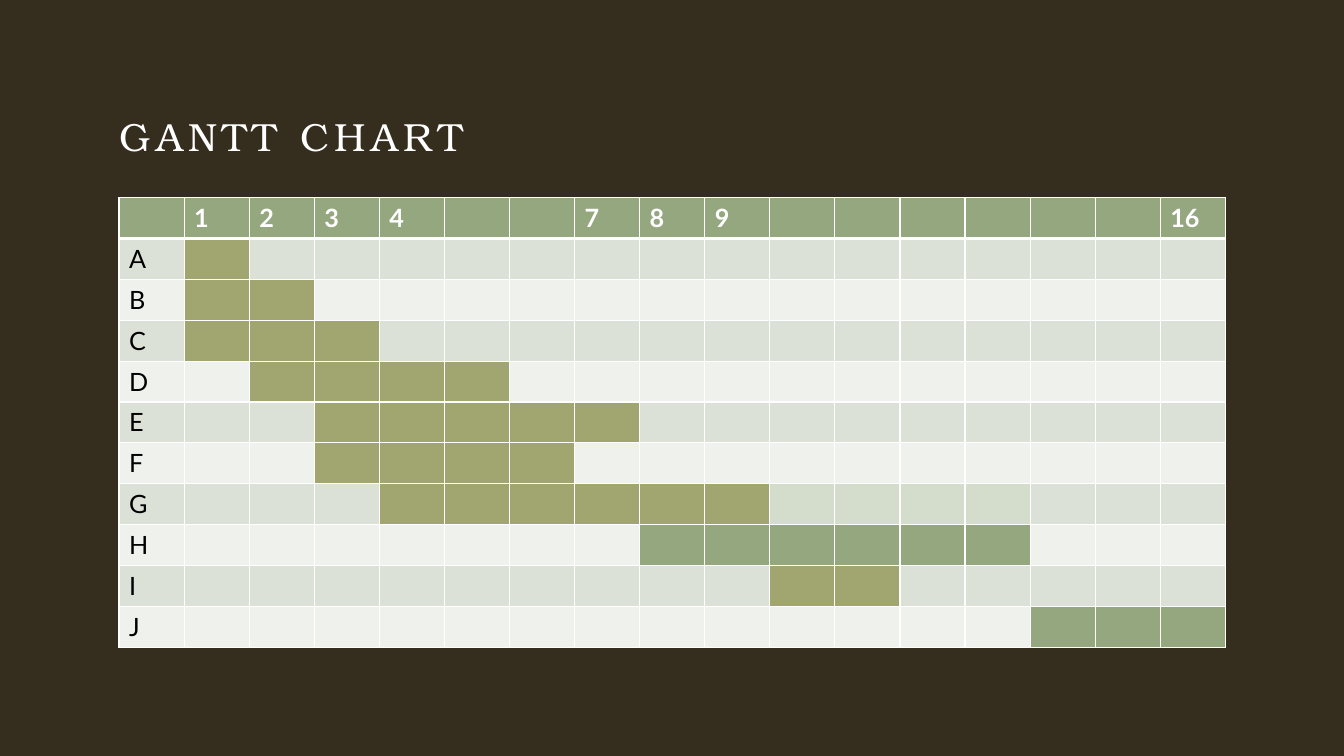
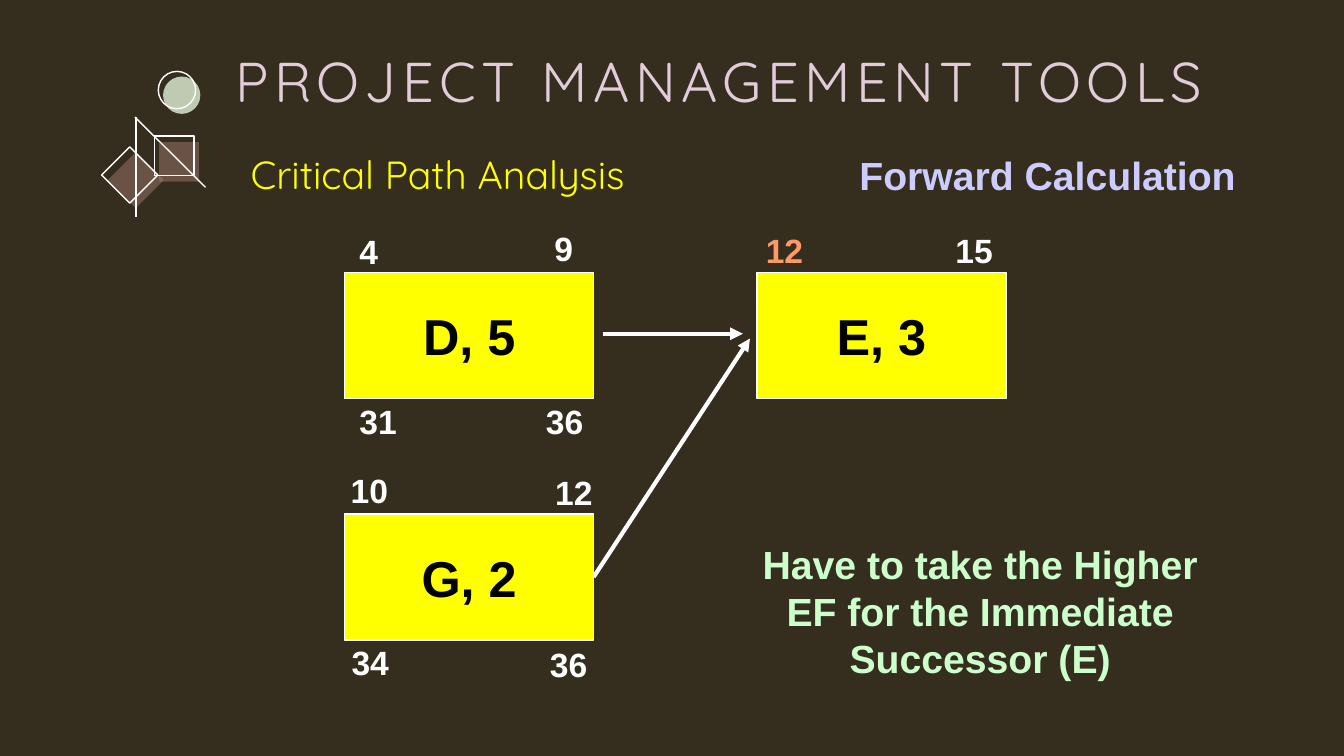
from math import cos, pi, sin

from lxml import etree
from pptx import Presentation
from pptx.dml.color import RGBColor
from pptx.enum.shapes import MSO_CONNECTOR, MSO_SHAPE
from pptx.enum.text import MSO_ANCHOR as ANCHOR, PP_ALIGN as ALIGN
from pptx.oxml import parse_xml
from pptx.oxml.ns import nsdecls, qn
from pptx.util import Cm, Pt

# Colours
BACK = RGBColor(0x35, 0x2D, 0x1E)
WHITE = RGBColor(0xFF, 0xFF, 0xFF)
BLACK = RGBColor(0x00, 0x00, 0x00)
GREEN = RGBColor(0x94, 0xA7, 0x7F)
OLIVE = RGBColor(0xA1, 0xA5, 0x70)
PALE_GREEN = RGBColor(0xD4, 0xDC, 0xCC)
BAND_DARK = RGBColor(0xDC, 0xE1, 0xD8)
BAND_LIGHT = RGBColor(0xEE, 0xF1, 0xEC)
PINK = RGBColor(0xE3, 0xCC, 0xDA)
BROWN = RGBColor(0xBA, 0x8C, 0x7F)
SAGE = RGBColor(0xBF, 0xCA, 0xB2)
YELLOW = RGBColor(0xFF, 0xFF, 0x00)
ORANGE = RGBColor(0xFF, 0x99, 0x66)
MINT = RGBColor(0xCC, 0xFF, 0xCC)
LILAC = RGBColor(0xCC, 0xCC, 0xFF)

# Text formats
HEAD = dict(name="Lato", size=Pt(18), bold=True, color=WHITE)
TASK = HEAD | dict(bold=False, color=BLACK)
NODE = dict(name="Arial", size=Pt(36), bold=True, color=BLACK)
NUMBER = NODE | dict(size=Pt(24), color=WHITE)
REMARK = NODE | dict(size=Pt(28))
SUBTITLE = dict(name="Quicksand", size=Pt(28), color=YELLOW)


def write(box, text, fmt, align=ALIGN.LEFT, wrap=True):
    tf = box.text_frame
    tf.word_wrap = wrap
    p = tf.paragraphs[0]
    p.alignment = align
    r = p.add_run()
    r.text = text
    for key, value in fmt.items():
        if key == "color":
            r.font.color.rgb = value
        else:
            setattr(r.font, key, value)
    return r


def add_line(s, x1, y1, x2, y2, width, arrow=False):
    c = s.shapes.add_connector(MSO_CONNECTOR.STRAIGHT, Cm(x1), Cm(y1), Cm(x2), Cm(y2))
    c.line.color.rgb = WHITE
    c.line.width = Pt(width)
    if arrow:
        etree.SubElement(c.line._get_or_add_ln(), qn("a:tailEnd"), type="triangle")
    etree.SubElement(c._element.spPr, qn("a:effectLst"))
    return c


prs = Presentation()
prs.slide_width, prs.slide_height = Cm(33.87), Cm(19.05)

# Backgrounds and titles
slides = []
for text, box, anchor, fmt in (
    ("GANTT CHART", (3, 2.82, 27.86, 1.83), ANCHOR.TOP,
     dict(name="TeX Gyre Bonum", size=Pt(28), color=WHITE)),
    ("PROJECT MANAGEMENT TOOLS", (5.94, 0.25, 26.42, 3.53), ANCHOR.MIDDLE,
     dict(name="Quicksand", size=Pt(40), color=PINK)),
):
    s = prs.slides.add_slide(prs.slide_layouts[6])
    s.background.fill.solid()
    s.background.fill.fore_color.rgb = BACK
    title = s.shapes.add_textbox(*map(Cm, box))
    tf = title.text_frame
    tf.margin_left = tf.margin_right = tf.margin_top = tf.margin_bottom = 0
    tf.vertical_anchor = anchor
    write(title, text, fmt)._r.get_or_add_rPr().set("spc", "400")
    slides.append(s)

# Slide 1: Gantt table
s = slides[0]
PERIODS, COL_W, ROW_H = 16, 1.64, 1.03
SHOWN = (1, 2, 3, 4, 7, 8, 9, 16)
BARS = {  # task: (first period, last period, colour) of each bar
    "A": [(1, 1, OLIVE)],
    "B": [(1, 2, OLIVE)],
    "C": [(1, 3, OLIVE)],
    "D": [(2, 5, OLIVE)],
    "E": [(3, 7, OLIVE)],
    "F": [(3, 6, OLIVE)],
    "G": [(4, 9, OLIVE), (10, 13, PALE_GREEN)],
    "H": [(8, 13, GREEN)],
    "I": [(10, 11, OLIVE)],
    "J": [(14, 16, GREEN)],
}
rows, cols = len(BARS) + 1, PERIODS + 1
table = s.shapes.add_table(rows, cols, Cm(3), Cm(4.98),
                           Cm(COL_W * cols), Cm(ROW_H * rows)).table
for col in table.columns:
    col.width = Cm(COL_W)
for row in table.rows:
    row.height = Cm(ROW_H)

fills = [[GREEN] * cols]
for i, bars in enumerate(BARS.values()):
    line = [(BAND_DARK, BAND_LIGHT)[i % 2]] * cols
    for first, last, colour in bars:
        line[first:last + 1] = [colour] * (last - first + 1)
    fills.append(line)

for i, line in enumerate(fills):
    for j, colour in enumerate(line):
        cell = table.cell(i, j)
        cell.fill.solid()
        cell.fill.fore_color.rgb = colour
        tcPr = cell._tc.get_or_add_tcPr()
        for k, side in enumerate("LRTB"):
            thick = (i, side) in ((0, "B"), (1, "T"))
            tcPr.insert(k, parse_xml(
                f'<a:ln{side} {nsdecls("a")} w="{Pt(3 if thick else 1)}"><a:solidFill>'
                f'<a:srgbClr val="{WHITE}"/></a:solidFill></a:ln{side}>'))

for n in SHOWN:
    write(table.cell(0, n), str(n), HEAD)
for i, task in enumerate(BARS, 1):
    write(table.cell(i, 0), task, TASK)

# Slide 2: leaf ornament, each leaf made of two mirrored quarter circles
s = slides[1]
RADIUS, TIP, STEPS = 1.25, 0.05, 16
angles = [pi / 2 * n / STEPS for n in range(STEPS + 1)]
arc = [(TIP + RADIUS * sin(a), RADIUS - RADIUS * cos(a)) for a in angles]
end = RADIUS + TIP
outline = arc + [(end, end)] + [(y, x) for x, y in reversed(arc)]

ornaments = []
for x, y, turn, colour in ((4.01, 3.58, 0, BROWN), (2.92, 4.04, 45, BROWN),
                           (2.77, 3.91, 45, None), (3.89, 3.43, 0, None)):
    pen = s.shapes.build_freeform(0, 0, scale=Cm(1))
    pen.add_line_segments(outline, close=True)
    leaf = pen.convert_to_shape(Cm(x), Cm(y))
    leaf.rotation = turn
    ornaments.append((leaf, colour))

add_line(s, 3.43, 5.46, 3.43, 2.95, 1)
add_line(s, 5.18, 4.72, 3.4, 2.95, 1)

for x, y, colour in ((4.11, 1.93, SAGE), (3.99, 1.8, None)):
    circle = s.shapes.add_shape(MSO_SHAPE.OVAL, Cm(x), Cm(y), Cm(0.94), Cm(0.94))
    ornaments.append((circle, colour))

for sp, colour in ornaments:
    sp.shadow.inherit = False
    if colour is None:
        sp.fill.background()
        sp.line.color.rgb = WHITE
        sp.line.width = Pt(1)
    else:
        sp.fill.solid()
        sp.fill.fore_color.rgb = colour
        sp.line.fill.background()
    if colour == BROWN:
        rgb = sp.fill._xPr.find(qn("a:solidFill"))[0]
        etree.SubElement(rgb, qn("a:alpha"), val="40000")

# Headings and remark
for text, box, fmt, align in (
    ("Critical Path Analysis", (6.07, 3.66, 16.94, 1.45), SUBTITLE, ALIGN.LEFT),
    ("Forward Calculation", (20.42, 3.68, 11.96, 1.45),
     REMARK | dict(color=LILAC), ALIGN.CENTER),
    ("Have to take the Higher EF for the Immediate Successor (E)",
     (18.72, 13.49, 11.96, 3.84), REMARK | dict(color=MINT), ALIGN.CENTER),
):
    write(s.shapes.add_textbox(*map(Cm, box)), text, fmt, align)

# Activity boxes
nodes = {}
for text, x, y in (("D, 5", 8.69, 6.86), ("E, 3", 19.08, 6.86), ("G, 2", 8.69, 12.95)):
    sp = s.shapes.add_shape(MSO_SHAPE.RECTANGLE, Cm(x), Cm(y), Cm(6.27), Cm(3.18))
    sp.shadow.inherit = False
    sp.fill.solid()
    sp.fill.fore_color.rgb = YELLOW
    sp.line.color.rgb = WHITE
    sp.line.width = Pt(1)
    sp.text_frame.vertical_anchor = ANCHOR.MIDDLE
    write(sp, text, NODE, ALIGN.CENTER, wrap=False)
    nodes[text[0]] = sp

# Start and finish numbers
for text, x, y, colour in (
    ("4", 8.81, 5.69, WHITE), ("9", 13.72, 5.61, WHITE),
    ("31", 8.81, 9.98, WHITE), ("36", 13.51, 9.98, WHITE),
    ("10", 8.59, 11.71, WHITE), ("12", 13.74, 11.76, WHITE),
    ("34", 8.61, 16.05, WHITE), ("36", 13.61, 16.1, WHITE),
    ("12", 19.05, 5.66, ORANGE), ("15", 23.83, 5.66, WHITE),
):
    width = 0.53 + 0.47 * len(text)
    number = s.shapes.add_textbox(Cm(x), Cm(y), Cm(width), Cm(1.27))
    write(number, text, NUMBER | dict(color=colour), wrap=False)

# Arrows into E
add_line(s, 15.19, 8.41, 18.72, 8.41, 3, arrow=True)
from_g = add_line(s, 14.96, 14.54, 18.9, 8.53, 3, arrow=True)
from_g.begin_connect(nodes["G"], 3)

prs.save("out.pptx")
